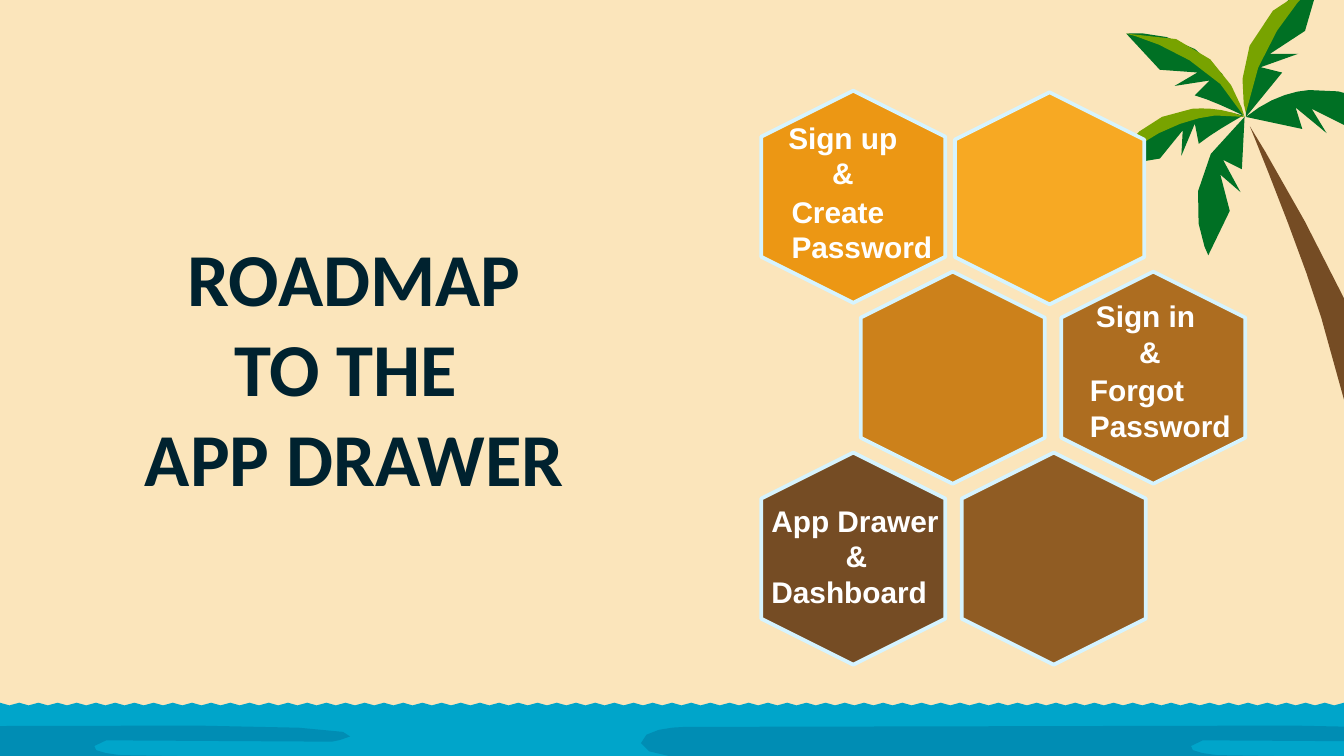
from dataclasses import dataclass
from typing import Sequence

from pptx import Presentation
from pptx.dml.color import RGBColor
from pptx.enum.shapes import MSO_SHAPE
from pptx.enum.text import MSO_ANCHOR, MSO_AUTO_SIZE, PP_ALIGN
from pptx.util import Cm, Pt

COLORS = {
    "sand": "FBE5BB", "sea": "00A5CA", "swirl": "008DB4",
    "leaf": "007024", "light_leaf": "78A300", "trunk": "754C24",
    "ink": "00222F", "white": "FFFFFF", "edge": "D6F4FF",
    "amber": "F7A923", "orange": "EC9714", "ochre": "CC811B",
    "caramel": "AD6D20", "brown": "905C23", "dark": "754C24",
}
TITLE_FONT = {"name": "Calibri", "size": Pt(40), "bold": True}
LABEL_FONT = {"name": "Arial", "size": Pt(16), "bold": True}
UNITS = 1000  # outline resolution per inch
CURVE_STEPS = 5


@dataclass
class Outline:
    """Inch coordinates: pairs are lines, sextuples are Bezier curves."""
    color: str
    start: tuple
    steps: Sequence[tuple]
    dx: float = 0


@dataclass
class Hexagon:
    color: str
    x: float
    y: float
    height: float = 3.48


@dataclass
class Line:
    text: str
    align: PP_ALIGN = PP_ALIGN.LEFT
    left: float = 0
    right: float = 0


@dataclass
class Label:
    x: float
    y: float
    w: float
    h: float
    lines: Sequence[Line]


def rgb(name: str) -> RGBColor:
    return RGBColor.from_string(COLORS[name])


def format_font(font, values: dict, color: str) -> None:
    for key, value in values.items():
        setattr(font, key, value)
    font.color.rgb = rgb(color)


def flatten(outline: Outline) -> list:
    points = [outline.start]
    for step in outline.steps:
        if len(step) == 2:
            points.append(step)
            continue
        x0, y0 = points[-1]
        x1, y1, x2, y2, x3, y3 = step
        for i in range(1, CURVE_STEPS + 1):
            t = i / CURVE_STEPS
            a, b, c, d = (1 - t) ** 3, 3 * t * (1 - t) ** 2, 3 * t * t * (1 - t), t ** 3
            points.append((a * x0 + b * x1 + c * x2 + d * x3,
                           a * y0 + b * y1 + c * y2 + d * y3))
    return [((x + outline.dx) * UNITS, y * UNITS) for x, y in points]


def draw_outline(s, outline: Outline) -> None:
    first, *rest = flatten(outline)
    builder = s.shapes.build_freeform(*first, scale=Cm(2.54) / UNITS)
    builder.add_line_segments(rest, close=True)
    sp = builder.convert_to_shape()
    sp.shadow.inherit = False
    sp.fill.solid()
    sp.fill.fore_color.rgb = rgb(outline.color)
    sp.line.fill.background()


def draw_hexagon(s, h: Hexagon) -> None:
    sp = s.shapes.add_shape(MSO_SHAPE.HEXAGON, Cm(h.x), Cm(h.y), Cm(4.01), Cm(h.height))
    sp.adjustments[0] = 0.25
    sp.rotation = 90
    sp.shadow.inherit = False
    sp.fill.solid()
    sp.fill.fore_color.rgb = rgb(h.color)
    sp.line.color.rgb = rgb("edge")
    sp.line.width = Pt(2)


def draw_label(s, label: Label) -> None:
    sp = s.shapes.add_textbox(Cm(label.x), Cm(label.y), Cm(label.w), Cm(label.h))
    tf = sp.text_frame
    tf.word_wrap = True
    tf.auto_size = MSO_AUTO_SIZE.SHAPE_TO_FIT_TEXT
    for i, line in enumerate(label.lines):
        p = tf.add_paragraph() if i else tf.paragraphs[0]
        p.alignment = line.align
        pPr = p._p.get_or_add_pPr()
        for key, value in (("marL", line.left), ("marR", line.right)):
            if value:
                pPr.set(key, str(Cm(value)))
        r = p.add_run()
        r.text = line.text
        format_font(r.font, LABEL_FONT, "white")


def sea() -> Outline:
    pitch = 1 / 7
    ripples = [point for i in range(71)
               for point in ((i * pitch, 5.23), (i * pitch + 0.07, 5.25))]
    return Outline("sea", (10.09, 5.93), [(-0.1, 5.93), (-0.1, 5.25), *ripples, (10.09, 5.25)])


SWIRL = [
    (5.13, 5.41), (5.13, 5.41, 4.78, 5.4, 4.77, 5.53),
    (4.76, 5.66, 5.39, 5.65, 5.39, 5.65), (8, 5.65),
    (8, 5.65, 8.36, 5.64, 8.35, 5.76), (8.33, 5.88, 7.71, 5.83, 7.16, 5.83),
    (4.22, 5.82), (4.22, 5.82, 3.72, 5.82, 3.78, 6.01),
    (3.85, 6.2, 4.51, 6.15, 4.81, 6.16), (8.65, 6.17), (10.82, 6.17),
    (10.82, 6.17, 11.16, 6.15, 11.13, 6.04), (11.09, 5.93, 10.62, 5.96, 10.23, 5.96),
    (9.83, 5.96, 9.21, 5.86, 9.91, 5.82), (11.31, 5.83),
    (11.31, 5.83, 11.95, 5.86, 11.91, 5.76), (11.87, 5.65, 11.67, 5.66, 11.31, 5.65),
    (10.95, 5.65, 9.06, 5.62, 9.06, 5.62), (9.06, 5.62, 8.69, 5.59, 8.95, 5.51),
    (10.63, 5.52), (10.63, 5.52, 11.32, 5.41, 9.63, 5.4),
]
PALM = [
    Outline("leaf", (8.38, 0.25), [
        (8.63, 0.52), (8.91, 0.54), (8.74, 0.64), (9, 0.6), (8.89, 0.71),
        (9.03, 0.75, 9.25, 0.86, 9.25, 0.86), (9.05, 0.22, 8.5, 0.24, 8.38, 0.25)]),
    Outline("leaf", (8.88, 0.82), [
        (8.45, 0.86, 8.27, 1.24, 8.27, 1.24), (8.63, 1.18), (8.8, 0.97), (8.79, 1.16),
        (8.89, 0.92), (8.92, 1.07), (9.03, 0.98, 9.25, 0.86, 9.25, 0.86),
        (9.11, 0.82, 8.99, 0.81, 8.88, 0.82)]),
    Outline("leaf", (9.74, 0.67), [
        (9.6, 0.68, 9.43, 0.74, 9.27, 0.87), (9.69, 0.96),
        (9.64, 0.8), (9.87, 0.99), (9.76, 0.81), (10.04, 0.95), (10.42, 0.88),
        (10.42, 0.88, 10.12, 0.64, 9.74, 0.67)]),
    Outline("leaf", (9.82, -0.15), [
        (9.82, -0.15, 9.15, 0.13, 9.27, 0.87), (9.54, 0.54),
        (9.38, 0.5), (9.66, 0.4), (9.45, 0.4), (9.71, 0.23)]),
    Outline("leaf", (9.26, 0.87), [
        (8.68, 1.31, 8.99, 1.9, 8.99, 1.9), (9.15, 1.57), (9.08, 1.3), (9.23, 1.43),
        (9.1, 1.19), (9.24, 1.26)]),
    Outline("light_leaf", (8.87, 0.81), [
        (8.45, 0.85, 8.27, 1.24, 8.27, 1.24), (8.58, 0.96, 8.86, 0.88, 9.04, 0.86),
        (9.26, 0.87), (9.11, 0.81, 8.98, 0.8, 8.87, 0.81)]),
    Outline("light_leaf", (8.38, 0.25), [
        (8.38, 0.25, 9.03, 0.4, 9.26, 0.87), (9.26, 0.87, 9.11, 0.19, 8.38, 0.25)]),
    Outline("light_leaf", (9.82, -0.15), [
        (9.06, 0.18, 9.27, 0.84, 9.27, 0.84), (9.36, 0.23, 9.82, -0.15, 9.82, -0.15)]),
    Outline("trunk", (9.3, 0.94), [
        (9.3, 0.94, 9.69, 1.89, 9.83, 2.36), (10.46, 4.63), (10.66, 4.46),
        (10.8, 4.53), (10.87, 4.42), (10.37, 2.62, 9.3, 0.94, 9.3, 0.94)]),
]
ROWS = [1.98 + 3.42 * i for i in range(3)]
HEXAGONS = [
    Hexagon("amber", 17.83, 1.96, 3.58), Hexagon("orange", 14.12, ROWS[0]),
    Hexagon("ochre", 16, ROWS[1]), Hexagon("caramel", 19.79, ROWS[1]),
    Hexagon("brown", 17.91, ROWS[2]), Hexagon("dark", 14.12, ROWS[2]),
]
CENTER = PP_ALIGN.CENTER
LABELS = [
    Label(14.63, 2.13, 2.92, 1.63, [Line("Sign up", CENTER, right=0.32), Line("&", CENTER)]),
    Label(14.71, 3.53, 3.38, 1.63, [Line("Create Password")]),
    Label(20.37, 5.51, 2.72, 1.63, [Line("Sign in ", CENTER), Line("&", CENTER)]),
    Label(20.35, 6.91, 3.38, 1.63, [Line("Forgot"), Line("Password")]),
    Label(14.33, 9.37, 3.91, 2.31, [Line("App Drawer"), Line("&", left=1.4), Line("Dashboard")]),
]


def main() -> None:
    prs = Presentation()
    prs.slide_width, prs.slide_height = Cm(25.4), Cm(14.29)
    s = prs.slides.add_slide(prs.slide_layouts[5])
    s.background.fill.solid()
    s.background.fill.fore_color.rgb = rgb("sand")

    # Sea and palm
    swirls = [Outline("swirl", (9.63, 5.4), SWIRL, dx) for dx in (0, -8.16)]
    for outline in [sea(), *swirls, *PALM]:
        draw_outline(s, outline)

    # Title
    title = s.shapes.title
    title.left, title.top, title.width, title.height = Cm(1.55), Cm(4.11), Cm(10.29), Cm(5.64)
    tf = title.text_frame
    tf.auto_size, tf.vertical_anchor = MSO_AUTO_SIZE.NONE, MSO_ANCHOR.MIDDLE
    p = tf.paragraphs[0]
    p.text = "ROADMAP\vTO THE \vAPP DRAWER"
    p.alignment = CENTER
    for r in p.runs:
        format_font(r.font, TITLE_FONT, "ink")

    # Honeycomb and its labels
    for hexagon in HEXAGONS:
        draw_hexagon(s, hexagon)
    for label in LABELS:
        draw_label(s, label)
    prs.save("out.pptx")


if __name__ == "__main__":
    main()
